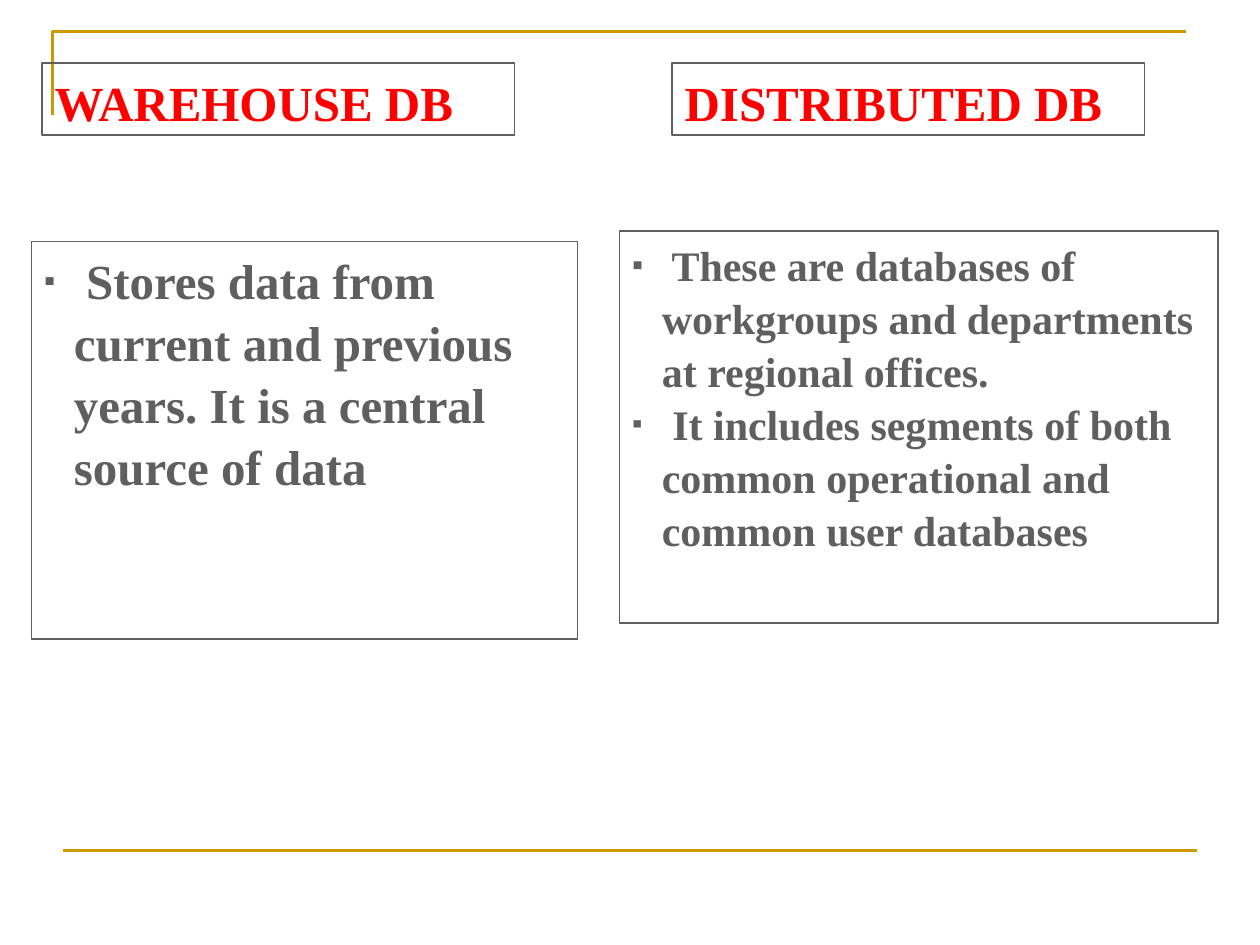
import pptx
import pptx.dml.color
import pptx.enum.shapes
import pptx.enum.text
import pptx.oxml
import pptx.oxml.ns
import pptx.util

Pt = pptx.util.Pt
COMPARISON_LAYOUT = 4


def color(value):
    return pptx.dml.color.RGBColor.from_string(value)


def add_child(parent, tag, **attributes):
    child = parent.makeelement(pptx.oxml.ns.qn(tag), attributes)
    parent.append(child)
    return child


def write(para, text, font="Times New Roman", size=28, ink="5F5F5F", bold=True):
    span = para.add_run()
    span.text = text
    span.font.name = font
    span.font.size = Pt(size)
    span.font.bold = bold
    span.font.color.rgb = color(ink)


class ComparisonPage:
    """Holds the slide and the style shared by its elements."""

    ink = "5F5F5F"
    heading_ink = "FF0000"
    rule_ink = "CC9900"
    line_spacing = 1.05
    indent = 17

    def __init__(self, deck):
        self.page = deck.slides.add_slide(deck.slide_layouts[COMPARISON_LAYOUT])
        title = self.page.shapes.title.element
        title.getparent().remove(title)

    def place(self, index, left, top, width, height):
        """Move and outline a placeholder, returning its text frame."""
        box = self.page.placeholders[index]
        box.left, box.top = Pt(left), Pt(top)
        box.width, box.height = Pt(width), Pt(height)
        box.line.color.rgb = color(self.ink)
        box.line.width = Pt(1)
        frame = box.text_frame
        frame.word_wrap = True
        frame.auto_size = pptx.enum.text.MSO_AUTO_SIZE.NONE
        frame.vertical_anchor = pptx.enum.text.MSO_ANCHOR.TOP
        return frame

    def set_spacing(self, para):
        para.alignment = pptx.enum.text.PP_ALIGN.LEFT
        para.line_spacing = self.line_spacing
        para.space_before = para.space_after = Pt(0)

    def heading(self, index, text, *bounds):
        para = self.place(index, *bounds).paragraphs[0]
        self.set_spacing(para)
        write(para, text, ink=self.heading_ink)

    def bullets(self, index, items, size, *bounds):
        """Fill a list from pairs of text and bullet size in percent."""
        frame = self.place(index, *bounds)
        for number, (text, percent) in enumerate(items):
            para = frame.add_paragraph() if number else frame.paragraphs[0]
            self.set_spacing(para)
            properties = para._p.get_or_add_pPr()
            properties.set("marL", str(Pt(self.indent)))
            properties.set("indent", str(-Pt(self.indent)))
            bullet_color = add_child(properties, "a:buClr")
            add_child(bullet_color, "a:srgbClr", val=self.ink)
            add_child(properties, "a:buSzPct", val=str(percent * 1000))
            add_child(properties, "a:buChar", char="▪")
            write(para, text, size=size, ink=self.ink)

    def finish_rule(self, shape):
        """Colour a decorative line and send it behind the text."""
        shape.line.color.rgb = color(self.rule_ink)
        shape.line.width = Pt(1.5)
        shape.element.getparent().insert(2, shape.element)

    def corner(self, start, *points):
        builder = self.page.shapes.build_freeform(*map(Pt, start), scale=1.0)
        builder.add_line_segments(
            [(Pt(x), Pt(y)) for x, y in points], close=False)
        shape = builder.convert_to_shape()
        shape.fill.background()
        shape.shadow.inherit = False
        self.finish_rule(shape)

    def rule(self, left, right, y):
        connector = self.page.shapes.add_connector(
            pptx.enum.shapes.MSO_CONNECTOR.STRAIGHT,
            Pt(left), Pt(y), Pt(right), Pt(y))
        add_child(connector.element.spPr, "a:effectLst")
        self.finish_rule(connector)


def main():
    deck = pptx.Presentation()
    deck.slide_width, deck.slide_height = Pt(720), Pt(540)
    comparison = ComparisonPage(deck)
    comparison.rule(36, 684, 486)
    comparison.corner((30, 66), (30, 18), (678, 18))
    comparison.heading(1, "WAREHOUSE DB", 24, 36, 270, 41)
    comparison.heading(3, "DISTRIBUTED DB", 384, 36, 270, 41)
    comparison.bullets(
        2,
        [(" Stores data from current and previous years. "
          "It is a central source of data", 65)],
        28, 18, 138, 312, 227)
    comparison.bullets(
        4,
        [(" These are databases of workgroups and departments "
          "at regional offices.", 75),
         (" It includes segments of both common operational and "
          "common user databases", 70)],
        24, 354, 132, 342, 224)
    deck.save("out.pptx")


if __name__ == "__main__":
    main()
